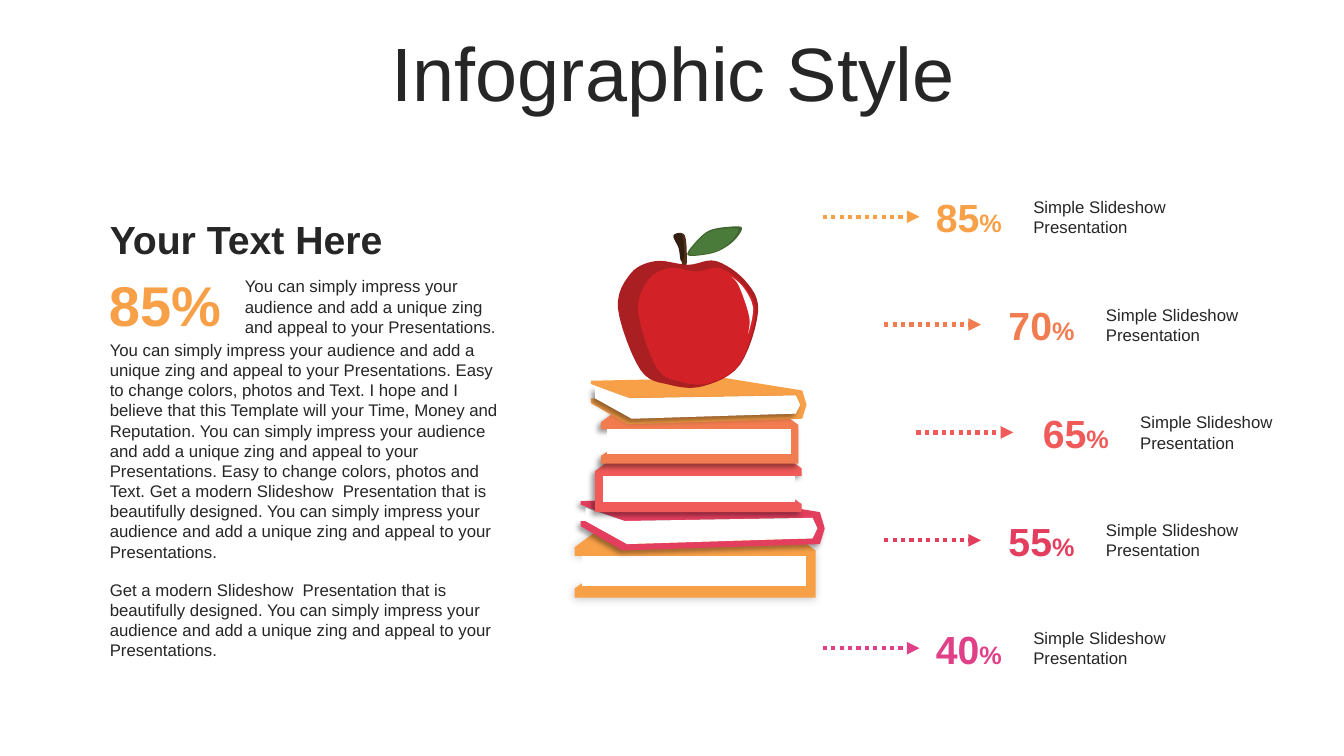
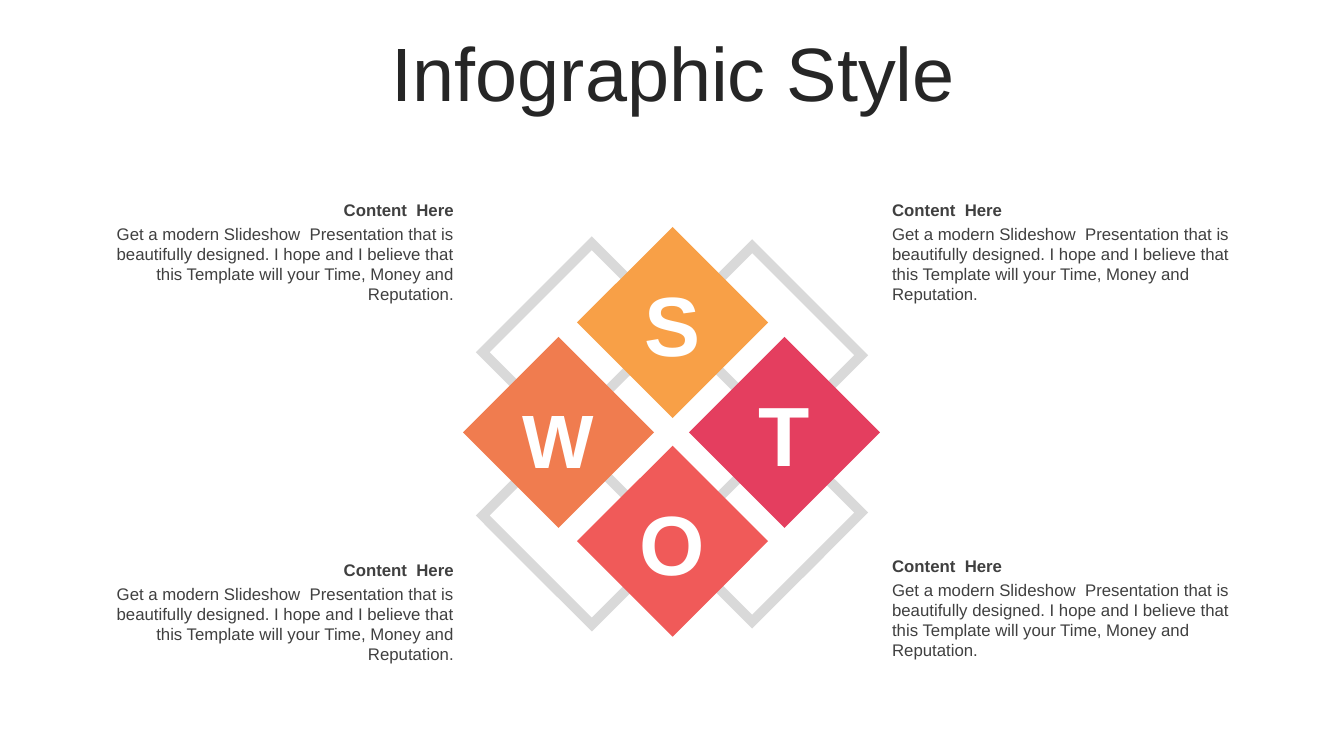
from dataclasses import dataclass
from typing import Optional

from lxml.etree import SubElement
from pptx import Presentation
from pptx.dml.color import RGBColor
from pptx.enum.dml import MSO_LINE
from pptx.enum.shapes import MSO_CONNECTOR, MSO_SHAPE
from pptx.enum.text import MSO_ANCHOR, MSO_AUTO_SIZE, PP_ALIGN
from pptx.oxml.ns import qn
from pptx.util import Inches, Pt

COLORS = {
    "ink": "262626", "body": "404040", "white": "FFFFFF", "frame": "D9D9D9",
    "shadow": "000000", "amber": "F8A047", "orange": "F07C4F",
    "coral": "F05A59", "crimson": "E43E5F", "pink": "E04088",
    "apple_dark": "A91F22", "apple": "D22127", "leaf_dark": "416430",
    "leaf": "4A7B3A", "stem": "512E16", "stem_dark": "331D11",
}
FONT = "Arial"
CURVE_STEPS = 6

IMPRESS = "You can simply impress your audience and add a unique zing and appeal to your Presentations."
MODERN = "Get a modern Slideshow  Presentation that is beautifully designed."
EASY = "Easy to change colors, photos and Text."
TRUST = "I hope and I believe that this Template will your Time, Money and Reputation."

Point = tuple[float, float]
Box = tuple[float, float, float, float]

FLAT_COVER: list[Point] = [
    (9, 0), (0, 24), (0, 37), (96, 37), (96, 82), (4, 82), (4, 76),
    (0, 86), (0, 100), (100, 100), (100, 29), (89, 0)]
FLAT_PAGES: list[Point] = [(3, 37), *FLAT_COVER[3:5], (3, 82)]
SLANTED_COVER: list[Point] = [
    (0, 44), (0, 54), (17, 100), (98, 88), (100, 58), (98, 27), (62, 0),
    (0, 6), (0, 13), (18, 44), (95, 38), (97, 58), (95, 77), (19, 88), (2, 44)]
SLANTED_PAGES: list[Point] = [(2, 19), *SLANTED_COVER[-6:]]
APPLE: list[Point] = [
    (0, 38), (9, 10), (27, 0), (50, 3), (70, 0), (91, 16), (100, 40),
    (87, 83), (61, 100), (37, 99), (16, 87)]
LEAF: list[Point] = [(0, 100), (12, 60), (39, 14), (76, 0), (100, 4), (85, 50), (57, 86), (28, 100)]
STEM: list[Point] = [(0, 3), (78, 0), (95, 70), (88, 100), (64, 100), (45, 50)]
GLINT: list[Point] = [(0, 0), (55, 20), (95, 55), (73, 100), (78, 70), (32, 16)]


@dataclass(frozen=True)
class Shadow:
    opacity: int
    blur: int
    distance: int


SOFT = Shadow(20, 6, 1)
DEEP = Shadow(40, 4, 3)


@dataclass(frozen=True)
class Book:
    color: str
    box: Box
    slanted: bool = False
    flipped: bool = False
    cover_shadow: Optional[Shadow] = DEEP
    pages_shadow: Optional[Shadow] = None


@dataclass(frozen=True)
class ApplePart:
    profile: list[Point]
    color: str
    box: Box


@dataclass(frozen=True)
class Metric:
    value: str
    color: str
    arrow_left: float
    value_left: float


@dataclass(frozen=True)
class Tile:
    letter: str
    color: str
    left: float
    top: float
    size: int = 60
    drop: float = 0.12


@dataclass(frozen=True)
class Note:
    left: float
    top: float
    width: float
    align: PP_ALIGN


BOOKS = [
    Book("amber", (5.7, 5.27, 2.39, 0.66), cover_shadow=SOFT),
    Book("crimson", (5.76, 4.94, 2.42, 0.52), slanted=True),
    Book("coral", (5.9, 4.51, 2.05, 0.57), flipped=True),
    Book("orange", (5.96, 4.06, 1.96, 0.54)),
    Book("amber", (5.86, 3.75, 2.14, 0.46), slanted=True, cover_shadow=None, pages_shadow=DEEP),
]
APPLE_PARTS = [
    ApplePart(STEM, "stem", (6.68, 2.33, 0.14, 0.31)),
    ApplePart(APPLE, "apple_dark", (6.13, 2.59, 1.39, 1.24)),
    ApplePart(LEAF, "leaf_dark", (6.82, 2.25, 0.54, 0.28)),
    ApplePart(STEM, "stem_dark", (6.68, 2.33, 0.11, 0.25)),
    ApplePart(APPLE, "apple", (6.33, 2.66, 1.16, 1.14)),
    ApplePart(LEAF, "leaf", (6.84, 2.27, 0.48, 0.25)),
    ApplePart(GLINT, "white", (7.26, 2.75, 0.22, 0.56)),
]
METRICS = [
    Metric("85", "amber", 8.16, 9.13),
    Metric("70", "orange", 8.77, 9.85),
    Metric("65", "coral", 9.09, 10.19),
    Metric("55", "crimson", 8.77, 9.85),
    Metric("40", "pink", 8.16, 9.13),
]
TILES = [
    Tile("S", "amber", 6, 2.53),
    Tile("O", "coral", 6, 4.7),
    Tile("W", "orange", 4.87, 3.62, 54, 0.17),
    Tile("T", "crimson", 7.11, 3.62),
]
NOTES = [
    Note(8.75, 1.93, 3.64, PP_ALIGN.LEFT),
    Note(8.75, 5.46, 3.64, PP_ALIGN.LEFT),
    Note(0.84, 1.93, 3.76, PP_ALIGN.RIGHT),
    Note(0.84, 5.5, 3.76, PP_ALIGN.RIGHT),
]


def rgb(color: str) -> RGBColor:
    return RGBColor.from_string(COLORS[color])


def style_run(run, size: int, color: str, bold: bool = False) -> None:
    run.font.name = FONT
    run.font.size = Pt(size)
    run.font.bold = bold
    run.font.color.rgb = rgb(color)


def add_titled_slide(deck, title: str):
    slide = deck.slides.add_slide(deck.slide_layouts[5])
    heading = slide.shapes.title
    heading.left, heading.top, heading.width, heading.height = map(Inches, (0.35, 0.37, 12.66, 0.79))
    frame = heading.text_frame
    frame.text = title
    frame.auto_size = MSO_AUTO_SIZE.NONE
    frame.vertical_anchor = MSO_ANCHOR.MIDDLE
    paragraph = frame.paragraphs[0]
    paragraph.alignment = PP_ALIGN.CENTER
    paragraph.line_spacing = 0.9
    style_run(paragraph.runs[0], 54, "ink")
    return slide


def add_text(slide, box: Box, text: str, size: int = 12, color: str = "ink", bold: bool = False,
             align: PP_ALIGN = PP_ALIGN.LEFT, anchor: MSO_ANCHOR = MSO_ANCHOR.TOP):
    frame = slide.shapes.add_textbox(*map(Inches, box)).text_frame
    frame.word_wrap = True
    frame.auto_size = MSO_AUTO_SIZE.SHAPE_TO_FIT_TEXT
    frame.vertical_anchor = anchor
    frame.text = text
    paragraph = frame.paragraphs[0]
    paragraph.alignment = align
    style_run(paragraph.runs[0], size, color, bold)
    return paragraph


def smooth(profile: list[Point]) -> list[Point]:
    count = len(profile)
    curve = []
    for index in range(count):
        corners = [profile[(index + shift) % count] for shift in (-1, 0, 1, 2)]
        for step in range(CURVE_STEPS):
            t = step / CURVE_STEPS
            curve.append(tuple(
                b + t / 2 * (c - a + t * (2 * a - 5 * b + 4 * c - d + t * (3 * (b - c) + d - a)))
                for a, b, c, d in zip(*corners)))
    return curve


def add_outline(slide, profile: list[Point], box: Box, color: str,
                shadow: Optional[Shadow] = None, flipped: bool = False) -> None:
    left, top, width, height = box
    start, *rest = [
        (Inches(left + width * (100 - x if flipped else x) / 100), Inches(top + height * y / 100))
        for x, y in profile]
    builder = slide.shapes.build_freeform(*start)
    builder.add_line_segments(rest, close=True)
    shape = builder.convert_to_shape()
    shape.fill.solid()
    shape.fill.fore_color.rgb = rgb(color)
    shape.line.fill.background()
    shape.shadow.inherit = False
    if shadow:
        effects = shape._element.spPr.find(qn("a:effectLst"))
        cast = SubElement(effects, qn("a:outerShdw"), blurRad=str(Pt(shadow.blur)),
                          dist=str(Pt(shadow.distance)), dir=str(135 * 60000),
                          algn="tr", rotWithShape="0")
        tint = SubElement(cast, qn("a:srgbClr"), val=COLORS["shadow"])
        SubElement(tint, qn("a:alpha"), val=str(shadow.opacity * 1000))


def add_book(slide, book: Book) -> None:
    cover, pages = (SLANTED_COVER, SLANTED_PAGES) if book.slanted else (FLAT_COVER, FLAT_PAGES)
    add_outline(slide, cover, book.box, book.color, book.cover_shadow, book.flipped)
    add_outline(slide, pages, book.box, "white", book.pages_shadow, book.flipped)


def add_metric(slide, metric: Metric, row: int) -> None:
    top = 1.87 + 1.07 * row
    paragraph = add_text(slide, (metric.value_left, top, 0.96, 0.57), metric.value, 28, metric.color,
                         True, PP_ALIGN.CENTER, MSO_ANCHOR.MIDDLE)
    unit = paragraph.add_run()
    unit.text = "%"
    style_run(unit, 18, metric.color, True)
    add_text(slide, (metric.value_left + 1.02, top + 0.03, 1.64, 0.51), "Simple Slideshow Presentation")
    y = Inches(top + 0.28)
    arrow = slide.shapes.add_connector(MSO_CONNECTOR.STRAIGHT, Inches(metric.arrow_left), y,
                                       Inches(metric.arrow_left + 0.96), y)
    arrow.line.color.rgb = rgb(metric.color)
    arrow.line.width = Pt(3)
    arrow.line.dash_style = MSO_LINE.ROUND_DOT
    SubElement(arrow.line._get_or_add_ln(), qn("a:tailEnd"), type="triangle")
    SubElement(arrow._element.spPr, qn("a:effectLst"))


def add_rotated_box(slide, box: Box, angle: int):
    shape = slide.shapes.add_shape(MSO_SHAPE.RECTANGLE, *map(Inches, box))
    shape.rotation = angle
    shape.shadow.inherit = False
    return shape


def add_frame(slide, top: float, angle: int) -> None:
    frame = add_rotated_box(slide, (5.9, top, 1.53, 3.78), angle)
    frame.fill.background()
    frame.line.color.rgb = rgb("frame")
    frame.line.width = Pt(7)
    SubElement(frame.line._get_or_add_ln(), qn("a:miter"), lim="800000")


def add_tile(slide, tile: Tile) -> None:
    diamond = add_rotated_box(slide, (tile.left, tile.top, 1.34, 1.34), 45)
    diamond.fill.solid()
    diamond.fill.fore_color.rgb = rgb(tile.color)
    diamond.line.fill.background()
    add_text(slide, (tile.left, tile.top + tile.drop, 1.34, 1.11), tile.letter,
             tile.size, "white", True, PP_ALIGN.CENTER, MSO_ANCHOR.MIDDLE)


def add_note(slide, note: Note) -> None:
    add_text(slide, (note.left, note.top, note.width, 0.3), "Content  Here", 12, "body", True,
             note.align, MSO_ANCHOR.MIDDLE)
    add_text(slide, (note.left, note.top + 0.24, note.width, 0.91), f"{MODERN} {TRUST}",
             color="body", align=note.align)


def build_books_slide(deck) -> None:
    slide = add_titled_slide(deck, "Infographic Style")
    add_text(slide, (0.99, 2.09, 4.05, 0.57), "Your Text Here", 28, bold=True)
    add_text(slide, (0.94, 2.63, 1.39, 0.77), "85%", 40, "amber", True, PP_ALIGN.CENTER, MSO_ANCHOR.MIDDLE)
    add_text(slide, (2.33, 2.69, 2.71, 0.71), IMPRESS)
    add_text(slide, (0.99, 3.32, 4.05, 2.32), " ".join((IMPRESS, EASY, TRUST, IMPRESS, EASY, MODERN, IMPRESS)))
    add_text(slide, (0.99, 5.7, 4.05, 0.91), f"{MODERN} {IMPRESS}")
    for row, metric in enumerate(METRICS):
        add_metric(slide, metric, row)
    for book in BOOKS:
        add_book(slide, book)
    for part in APPLE_PARTS:
        add_outline(slide, smooth(part.profile), part.box, part.color)


def build_swot_slide(deck) -> None:
    slide = add_titled_slide(deck, "Infographic Style")
    add_frame(slide, 2.43, 45)
    add_frame(slide, 2.4, 315)
    for tile in TILES:
        add_tile(slide, tile)
    for note in NOTES:
        add_note(slide, note)


def main() -> None:
    deck = Presentation()
    deck.slide_width, deck.slide_height = Inches(13.33), Inches(7.5)
    build_books_slide(deck)
    build_swot_slide(deck)
    deck.save("out.pptx")


if __name__ == "__main__":
    main()
